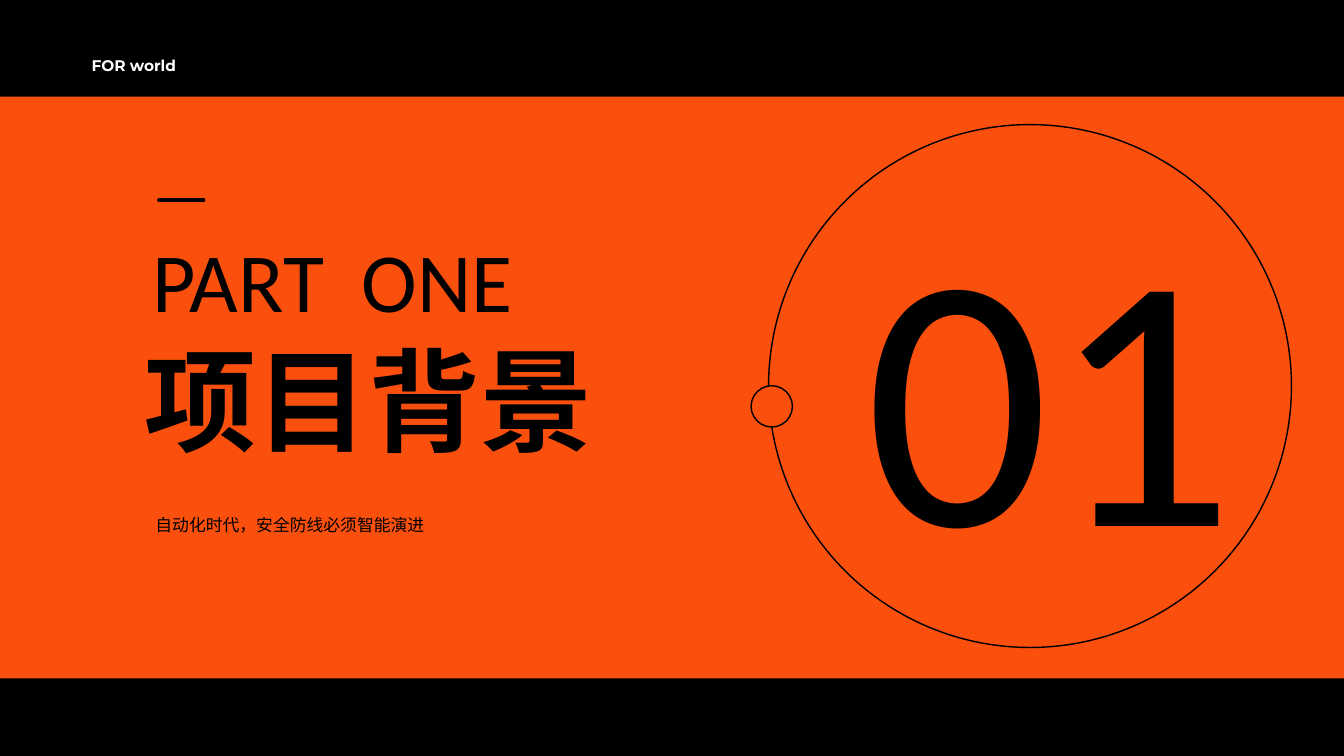
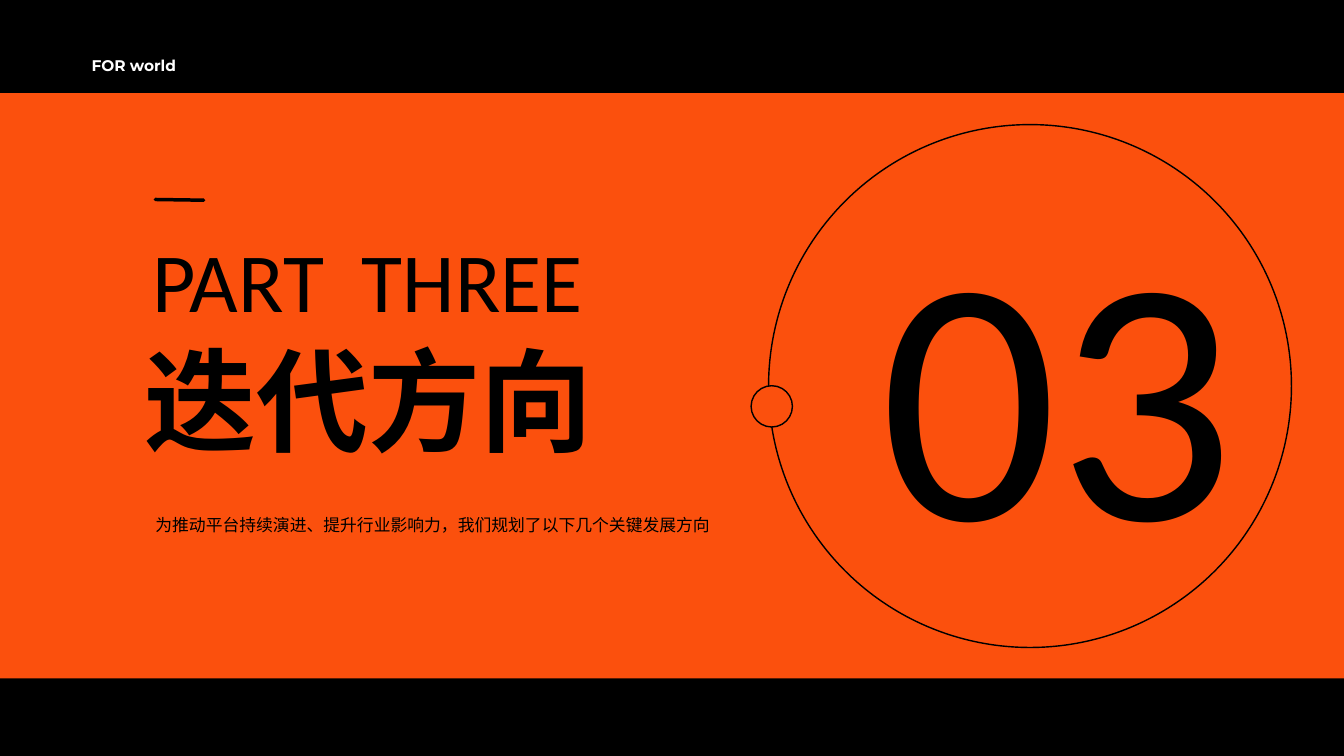
from lxml import etree
from pptx import Presentation
from pptx.dml.color import RGBColor
from pptx.enum.shapes import MSO_CONNECTOR, MSO_SHAPE
from pptx.enum.text import MSO_AUTO_SIZE, PP_ALIGN
from pptx.oxml.ns import qn
from pptx.util import Emu, Pt

OVAL, RECTANGLE = MSO_SHAPE.OVAL, MSO_SHAPE.RECTANGLE
STRAIGHT = MSO_CONNECTOR.STRAIGHT
LEFT, RIGHT = PP_ALIGN.LEFT, PP_ALIGN.RIGHT
FIT_TEXT = MSO_AUTO_SIZE.SHAPE_TO_FIT_TEXT

# Shared style
EMU_PER_PX = 9525
BLACK, ORANGE, WHITE = "000000", "FB500D", "FFFFFF"
LATIN, BRAND, CHINESE = "Calibri", "Montserrat", "Noto Sans CJK SC"
BAND_BOTTOM = 969
NUMBER_MIDDLE = 544
LINE_HEIGHT = 1.2
PX_PER_POINT = 96 / 72

SECTIONS = [
    {"part": "PART  ONE", "heading": "项目背景", "number": "01", "number_size": 390,
     "summary": "自动化时代，安全防线必须智能演进", "summary_width": 678,
     "band_top": 138, "dash_start": (227, 286)},
    {"part": "PART  THREE", "heading": "迭代方向", "number": "03", "number_size": 375,
     "summary": "为推动平台持续演进、提升行业影响力，我们规划了以下几个关键发展方向",
     "summary_width": 830, "band_top": 133, "dash_start": (222, 285)},
]


def px(length):
    return Emu(length * EMU_PER_PX)


def color(hex_string):
    return RGBColor.from_string(hex_string)


def add_figure(page, preset, left, top, width, height, fill=None, outline=None):
    figure = page.shapes.add_shape(preset, px(left), px(top), px(width), px(height))
    figure.shadow.inherit = False
    if fill:
        figure.fill.solid()
        figure.fill.fore_color.rgb = color(fill)
    else:
        figure.fill.background()
    if outline:
        figure.line.color.rgb = color(outline)
        figure.line.width = Pt(1.5)
    else:
        figure.line.fill.background()


def add_text(page, text, left, top, width, height, size, font,
             ink=BLACK, bold=False, align=LEFT, spacing=None):
    box = page.shapes.add_textbox(px(left), px(top), px(width), px(height))
    frame = box.text_frame
    frame.margin_left = frame.margin_top = frame.margin_right = frame.margin_bottom = 0
    frame.word_wrap = True
    frame.auto_size = FIT_TEXT
    frame.text = text
    para = frame.paragraphs[0]
    para.alignment = align
    para.line_spacing = Pt(spacing or size * LINE_HEIGHT)
    span = para.runs[0]
    span.font.size = Pt(size)
    span.font.bold = bold
    span.font.color.rgb = color(ink)
    span.font.name = font
    # East Asian characters take their typeface from a separate element
    etree.SubElement(span.font._element, qn("a:ea"), typeface=font)


def add_dash(page, start, end):
    dash = page.shapes.add_connector(STRAIGHT, *map(px, start + end))
    dash.line.color.rgb = color(BLACK)
    dash.line.width = Pt(3.75)
    properties = dash._element.spPr
    properties.find(qn("a:ln")).set("cap", "rnd")
    etree.SubElement(properties, qn("a:effectLst"))


def add_section_page(deck, section):
    page = deck.slides.add_slide(deck.slide_layouts[6])
    page.background.fill.solid()
    page.background.fill.fore_color.rgb = color(BLACK)

    # Orange band, bleeding past both sides
    band_top = section["band_top"]
    add_figure(page, RECTANGLE, -153, band_top, 2154, BAND_BOTTOM - band_top, fill=ORANGE)

    # Part label, heading and large number
    add_text(page, section["part"], 218, 326, 960, 144, 90, LATIN)
    add_text(page, section["heading"], 206, 474, 769, 192, 120, CHINESE, bold=True)
    size = section["number_size"]
    number_height = round(size * LINE_HEIGHT * PX_PER_POINT)
    add_text(page, section["number"], 804, NUMBER_MIDDLE - number_height // 2,
             960, number_height, size, LATIN, align=RIGHT)
    add_dash(page, section["dash_start"], (291, 286))

    # Ring with its small knob
    add_figure(page, OVAL, 1098, 178, 747, 747, outline=BLACK)
    add_figure(page, OVAL, 1073, 551, 59, 59, fill=ORANGE, outline=BLACK)

    # Header and summary
    add_text(page, "FOR world", 131, 80, 157, 26, 16.5, BRAND, ink=WHITE, bold=True)
    add_text(page, section["summary"], 222, 727, section["summary_width"], 36,
             18, CHINESE, spacing=28.1)


def main():
    deck = Presentation()
    deck.slide_width, deck.slide_height = px(1920), px(1080)
    for section in SECTIONS:
        add_section_page(deck, section)
    deck.save("out.pptx")


if __name__ == "__main__":
    main()
